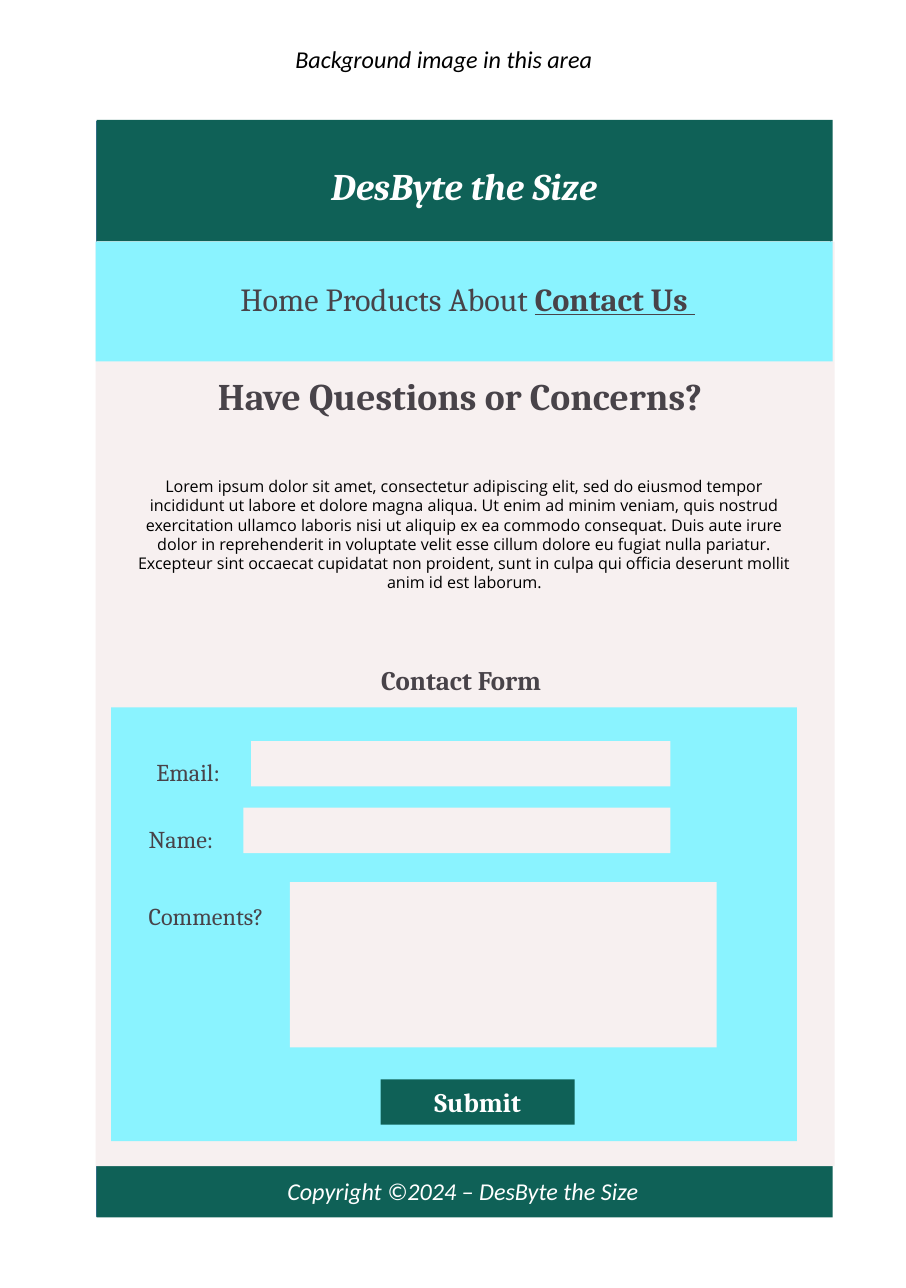
import pptx
import pptx.dml.color
import pptx.enum.shapes
import pptx.enum.text
import pptx.util

PX = pptx.util.Inches(1) // 100
WHITE = pptx.dml.color.RGBColor(0xFF, 0xFF, 0xFF)
BLACK = pptx.dml.color.RGBColor(0x00, 0x00, 0x00)
TEAL = pptx.dml.color.RGBColor(0x0F, 0x61, 0x57)
CYAN = pptx.dml.color.RGBColor(0x8A, 0xF3, 0xFF)
BLUSH = pptx.dml.color.RGBColor(0xF7, 0xF0, 0xF0)
CHARCOAL = pptx.dml.color.RGBColor(0x48, 0x43, 0x49)
BORDER = pptx.dml.color.RGBColor(0x43, 0x73, 0x9E)
LEFT = pptx.enum.text.PP_ALIGN.LEFT
CENTER = pptx.enum.text.PP_ALIGN.CENTER
LOREM = (
    "Lorem ipsum dolor sit amet, consectetur adipiscing elit, sed do eiusmod "
    "tempor incididunt ut labore et dolore magna aliqua. Ut enim ad minim veniam, "
    "quis nostrud exercitation ullamco laboris nisi ut aliquip ex ea commodo "
    "consequat. Duis aute irure dolor in reprehenderit in voluptate velit esse "
    "cillum dolore eu fugiat nulla pariatur. Excepteur sint occaecat cupidatat "
    "non proident, sunt in culpa qui officia deserunt mollit anim id est laborum."
)


def to_emu(box):
    return [length * PX for length in box]


def add_panel(slide, box, fill, line=None):
    shape = slide.shapes.add_shape(
        pptx.enum.shapes.MSO_SHAPE.RECTANGLE, *to_emu(box))
    shape.shadow.inherit = False
    shape.fill.solid()
    shape.fill.fore_color.rgb = fill
    if line is None:
        shape.line.fill.background()
    else:
        shape.line.color.rgb = line
        shape.line.width = pptx.util.Pt(1)
    return shape


def add_run(paragraph, text, size, color=CHARCOAL, font="Cambria",
            bold=False, italic=False, underline=False):
    run = paragraph.add_run()
    run.text = text
    run.font.size = pptx.util.Pt(size)
    run.font.name = font
    run.font.color.rgb = color
    run.font.bold = bold
    run.font.italic = italic
    run.font.underline = underline


def add_text_box(slide, box, align=CENTER):
    frame = slide.shapes.add_textbox(*to_emu(box)).text_frame
    frame.word_wrap = True
    paragraph = frame.paragraphs[0]
    paragraph.alignment = align
    return paragraph


def add_field(slide, label, label_box, input_box):
    add_run(add_text_box(slide, label_box, LEFT), label, 18)
    add_panel(slide, input_box, BLUSH)


def add_button(slide, box, label):
    frame = add_panel(slide, box, TEAL).text_frame
    frame.vertical_anchor = pptx.enum.text.MSO_ANCHOR.MIDDLE
    paragraph = frame.paragraphs[0]
    paragraph.alignment = CENTER
    add_run(paragraph, label, 20, WHITE, bold=True)


def add_header_and_footer(slide):
    add_panel(slide, (100, 126, 760, 1133), WHITE, BORDER)
    add_panel(slide, (100, 124, 762, 126), TEAL)
    add_run(add_text_box(slide, (168, 164, 625, 57)),
            "DesByte the Size", 28, WHITE, bold=True, italic=True)
    add_panel(slide, (100, 1194, 762, 66), TEAL)
    add_run(add_text_box(slide, (152, 1213, 660, 40)),
            "Copyright ©2024 – DesByte the Size ", 18, WHITE, "Calibri", italic=True)
    add_run(add_text_box(slide, (296, 41, 450, 41), LEFT),
            "Background image in this area", 18, BLACK, "Calibri", italic=True)


def add_body(slide):
    add_panel(slide, (99, 250, 765, 957), BLUSH)
    add_panel(slide, (99, 250, 763, 124), CYAN)
    add_run(add_text_box(slide, (202, 381, 557, 104)),
            "Have Questions or Concerns? ", 28, bold=True)
    navigation = add_text_box(slide, (129, 284, 710, 50))
    add_run(navigation, "Home Products About ", 24)
    add_run(navigation, "Contact Us ", 24, bold=True, underline=True)
    add_run(add_text_box(slide, (126, 488, 710, 131)), LOREM, 12, BLACK, "Open Sans")


def add_contact_form(slide):
    add_run(add_text_box(slide, (199, 682, 557, 44)), "Contact Form", 20, bold=True)
    add_panel(slide, (115, 732, 710, 449), CYAN)
    add_field(slide, "Email:", (152, 779, 108, 40), (260, 767, 434, 47))
    add_field(slide, "Name:", (144, 848, 110, 40), (252, 836, 442, 47))
    add_field(slide, "Comments?", (144, 928, 152, 40), (300, 913, 442, 171))
    add_button(slide, (394, 1117, 201, 47), "Submit")


def main():
    presentation = pptx.Presentation()
    presentation.slide_width = 938 * PX
    presentation.slide_height = 1333 * PX
    slide = presentation.slides.add_slide(presentation.slide_layouts[6])
    add_header_and_footer(slide)
    add_body(slide)
    add_contact_form(slide)
    presentation.save("out.pptx")


if __name__ == "__main__":
    main()
